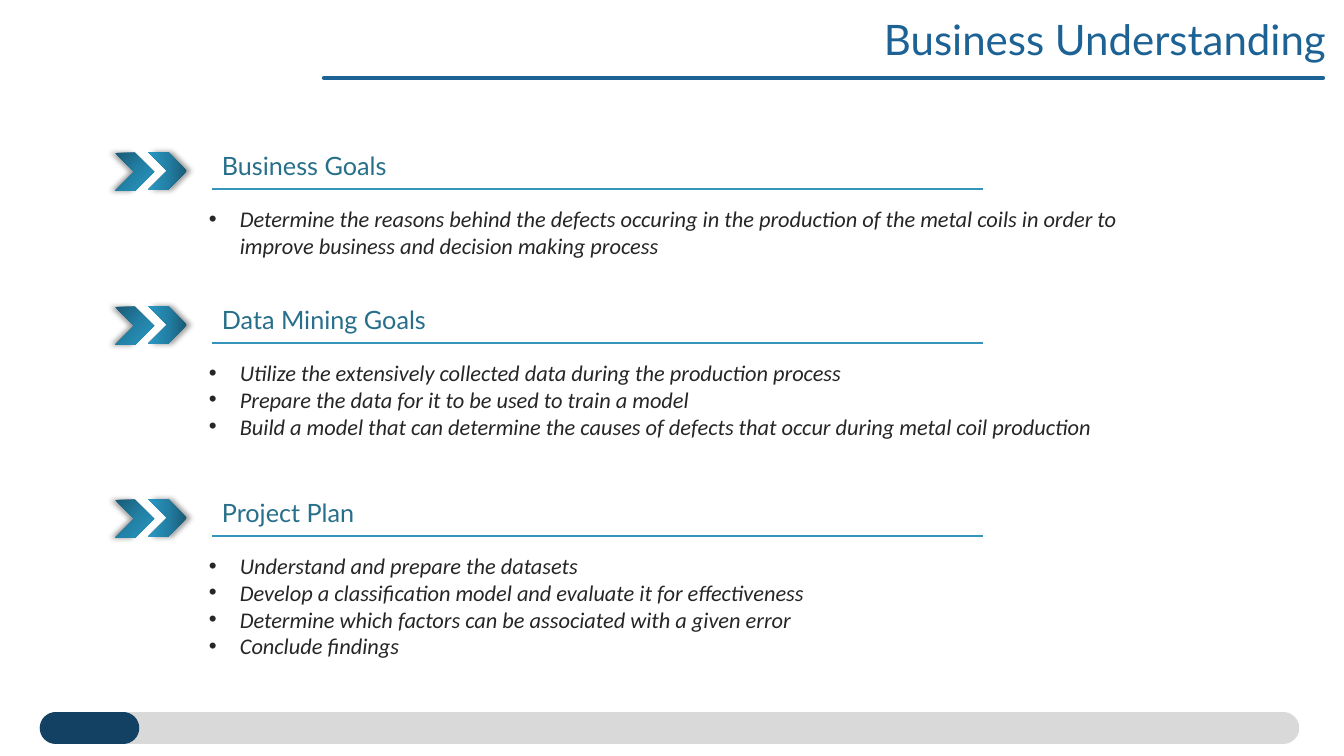
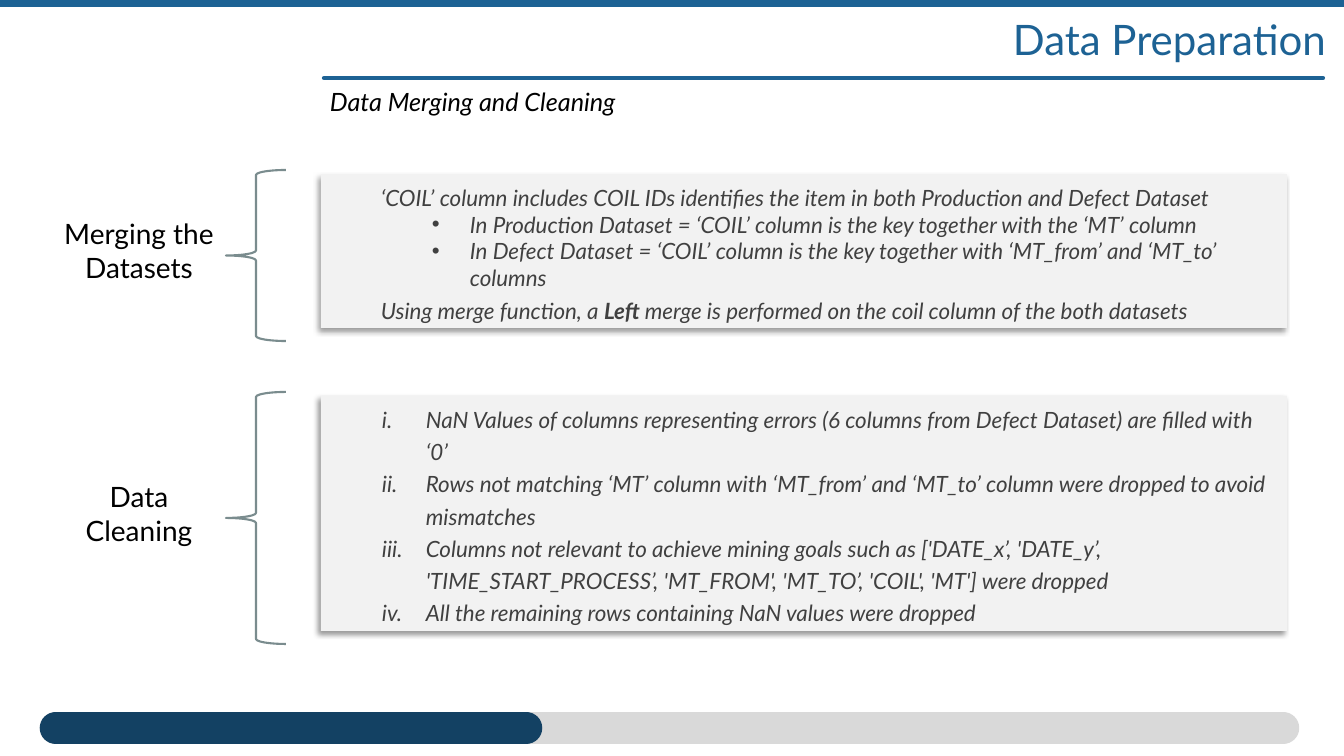
from pptx import Presentation
from pptx.dml.color import RGBColor
from pptx.enum.shapes import MSO_CONNECTOR as Connector, MSO_SHAPE as Shape
from pptx.enum.text import MSO_ANCHOR as Anchor, PP_ALIGN as Align
from pptx.oxml import parse_xml
from pptx.oxml.ns import nsdecls, qn
from pptx.util import Emu, Pt

SLIDE_W, SLIDE_H = 1344, 756
EMU_PER_PX = 12192000 / SLIDE_W

BLUE = RGBColor(0x1D, 0x62, 0x94)
NAVY = RGBColor(0x13, 0x41, 0x63)
TRACK = RGBColor(0xD9, 0xD9, 0xD9)
TEAL = RGBColor(0x27, 0x6F, 0x8B)
RULE = RGBColor(0x34, 0x94, 0xBA)
INK = RGBColor(0x26, 0x26, 0x26)
PANEL_INK = RGBColor(0x40, 0x40, 0x40)
PANEL = RGBColor(0xF2, 0xF2, 0xF2)
BRACE = RGBColor(0x7A, 0x8C, 0x8E)
BLACK = RGBColor(0, 0, 0)
CHEVRON_STOPS = (
    (0, RGBColor(0x19, 0x5A, 0x74)),
    (50, RGBColor(0x23, 0x80, 0xA5)),
    (100, RGBColor(0x2A, 0x98, 0xC4)),
)

HEAD_FONT = "Lato"
BODY_FONT = "Calibri"

PLAIN = (50, 0, None)
DOT = '<a:buChar %s char="•"/>'
ROMAN = '<a:buAutoNum %s type="romanLcPeriod"/>'
GOAL_BULLET = (82, -31, DOT)
SUB_BULLET = (139, -38, DOT)
NUMBERED = (95, -44, ROMAN)

SECTIONS = (
    (152, "Business Goals", (
        "Determine the reasons behind the defects occuring in the production of "
        "the metal coils in order to improve business and decision making process",
    )),
    (306, "Data Mining Goals", (
        "Utilize the extensively collected data during the production process",
        "Prepare the data for it to be used to train a model",
        "Build a model that can determine the causes of defects that occur "
        "during metal coil production",
    )),
    (499, "Project Plan", (
        "Understand and prepare the datasets",
        "Develop a classification model and evaluate it for effectiveness",
        "Determine which factors can be associated with a given error",
        "Conclude findings",
    )),
)

MERGING = (
    (("‘COIL’ column includes COIL IDs identifies the item in both "
      "Production and Defect Dataset",), PLAIN, 1.2),
    (("In Production Dataset = ‘COIL’ column is the key together with the "
      "‘MT’ column",), SUB_BULLET, 1),
    (("In Defect Dataset = ‘COIL’ column is the key together with "
      "‘MT_from’ and ‘MT_to’ columns",), SUB_BULLET, 1),
    (("Using merge function, a ", "Left ",
      "merge is performed on the coil column of the both datasets"), PLAIN, 1.2),
)

CLEANING = tuple(((step,), NUMBERED, 1.2) for step in (
    "NaN Values of columns representing errors (6 columns from Defect Dataset) "
    "are filled with ‘0’",
    "Rows not matching ‘MT’ column with ‘MT_from’ and ‘MT_to’ column were "
    "dropped to avoid mismatches",
    "Columns not relevant to achieve mining goals such as ['DATE_x’, 'DATE_y’, "
    "'TIME_START_PROCESS’, 'MT_FROM', 'MT_TO’, 'COIL', 'MT'] were dropped",
    "All the remaining rows containing NaN values were dropped",
))


def px(length):
    return Emu(round(length * EMU_PER_PX))


def box(*lengths):
    return [px(length) for length in lengths]


def add_line(slide, start, end, y, color, weight, cap="flat"):
    line = slide.shapes.add_connector(
        Connector.STRAIGHT, *box(start, y, end, y))
    line.line.color.rgb = color
    line.line.width = Pt(weight)
    properties = line.element.spPr
    properties.find(qn("a:ln")).set("cap", cap)
    properties.append(parse_xml(f"<a:effectLst {nsdecls('a')}/>"))


def style(paragraph, size, color, font=HEAD_FONT, italic=False, align=Align.LEFT):
    paragraph.alignment = align
    paragraph.font.size = Pt(size)
    paragraph.font.name = font
    paragraph.font.italic = italic
    paragraph.font.color.rgb = color


def indent(paragraph, layout):
    margin, hanging, marker = layout
    properties = paragraph._p.get_or_add_pPr()
    properties.set("marL", str(px(margin)))
    properties.set("indent", str(px(hanging)))
    if marker:
        if marker == DOT:
            properties.append(parse_xml(
                f'<a:buFont {nsdecls("a")} typeface="Arial"/>'))
        properties.append(parse_xml(marker % nsdecls("a")))


def next_paragraph(frame, position):
    return frame.add_paragraph() if position else frame.paragraphs[0]


def add_text(slide, bounds, lines, layout=None, **look):
    frame = slide.shapes.add_textbox(*box(*bounds)).text_frame
    frame.word_wrap = True
    for position, line in enumerate(lines):
        paragraph = next_paragraph(frame, position)
        paragraph.text = line
        if layout:
            indent(paragraph, layout)
        style(paragraph, **look)


def add_shape(slide, kind, bounds):
    shape = slide.shapes.add_shape(kind, *box(*bounds))
    shape.shadow.inherit = False
    return shape


def cast_shadow(shape, angle):
    shape.element.spPr.find(qn("a:effectLst")).append(parse_xml(
        f'<a:outerShdw {nsdecls("a")} blurRad="{Pt(4)}" dist="{Pt(3)}" '
        f'dir="{angle * 60000}" algn="ctr" rotWithShape="0">'
        '<a:srgbClr val="000000"><a:alpha val="40000"/></a:srgbClr>'
        '</a:outerShdw>'))


def add_chevron(slide, left, top, gradient_angle, shadow_angle):
    chevron = add_shape(slide, Shape.CHEVRON, (left, top, 39, 38))
    stops = "".join(
        f'<a:gs pos="{place * 1000}"><a:srgbClr val="{color}"/></a:gs>'
        for place, color in CHEVRON_STOPS)
    chevron.element.spPr.find(qn("a:prstGeom")).addnext(parse_xml(
        f'<a:gradFill {nsdecls("a")} rotWithShape="1"><a:gsLst>{stops}</a:gsLst>'
        f'<a:lin ang="{gradient_angle * 60000}" scaled="0"/></a:gradFill>'))
    chevron.line.fill.background()
    cast_shadow(chevron, shadow_angle)


def add_section(slide, top, heading, points):
    add_chevron(slide, 148, top, 180, 0)
    add_chevron(slide, 115, top + 1, 45, 180)
    add_text(slide, (212, top - 7, 400, 40), [heading], size=18, color=TEAL)
    add_line(slide, 212, 983, top + 37, RULE, 1)
    add_text(slide, (148, top + 48, 1008, 10 + 27 * len(points)), points,
             GOAL_BULLET, size=16, color=INK, font=BODY_FONT, italic=True)


def add_panel(slide, top, height, entries):
    panel = add_shape(slide, Shape.RECTANGLE, (321, top, 966, height))
    panel.fill.solid()
    panel.fill.fore_color.rgb = PANEL
    panel.line.fill.background()
    cast_shadow(panel, 135)
    frame = panel.text_frame
    frame.word_wrap = True
    frame.vertical_anchor = Anchor.MIDDLE
    for position, (parts, layout, spacing) in enumerate(entries):
        paragraph = next_paragraph(frame, position)
        for part in parts:
            run = paragraph.add_run()
            run.text = part
            if part == "Left ":
                run.font.bold = True
        indent(paragraph, layout)
        paragraph.line_spacing = spacing
        style(paragraph, 16, PANEL_INK, italic=True)


def add_topic(slide, top, height, label, entries):
    add_panel(slide, top, height, entries)
    brace_top, brace_height = top - 4, height + 17
    brace = add_shape(slide, Shape.LEFT_BRACE, (226, brace_top, 60, brace_height))
    brace.fill.background()
    brace.line.color.rgb = BRACE
    brace.line.width = Pt(1.5)
    add_text(slide, (39, brace_top + brace_height // 2 - 43, 200, 77), label,
             size=20, color=BLACK, align=Align.CENTER)


def add_slide(deck, title, progress):
    slide = deck.slides.add_slide(deck.slide_layouts[6])
    add_line(slide, 324, 1323, 78, BLUE, 3, "rnd")
    add_text(slide, (726, 9, 610, 61), [title],
             size=30, color=BLUE, align=Align.RIGHT)
    for end, color in ((1283, TRACK), (progress, NAVY)):
        add_line(slide, 56, end, 728, color, 23.25, "rnd")
    return slide


def main():
    deck = Presentation()
    deck.slide_width, deck.slide_height = box(SLIDE_W, SLIDE_H)

    understanding = add_slide(deck, "Business Understanding", 123)
    for section in SECTIONS:
        add_section(understanding, *section)

    preparation = add_slide(deck, "Data Preparation", 526)
    add_line(preparation, 0, SLIDE_W, 3, BLUE, 6)
    add_text(preparation, (320, 81, 400, 40), ["Data Merging and Cleaning"],
             size=18, color=BLACK, italic=True)
    add_topic(preparation, 174, 154, ("Merging the", "Datasets"), MERGING)
    add_topic(preparation, 396, 235, ("Data", "Cleaning"), CLEANING)

    deck.save("out.pptx")


if __name__ == "__main__":
    main()
